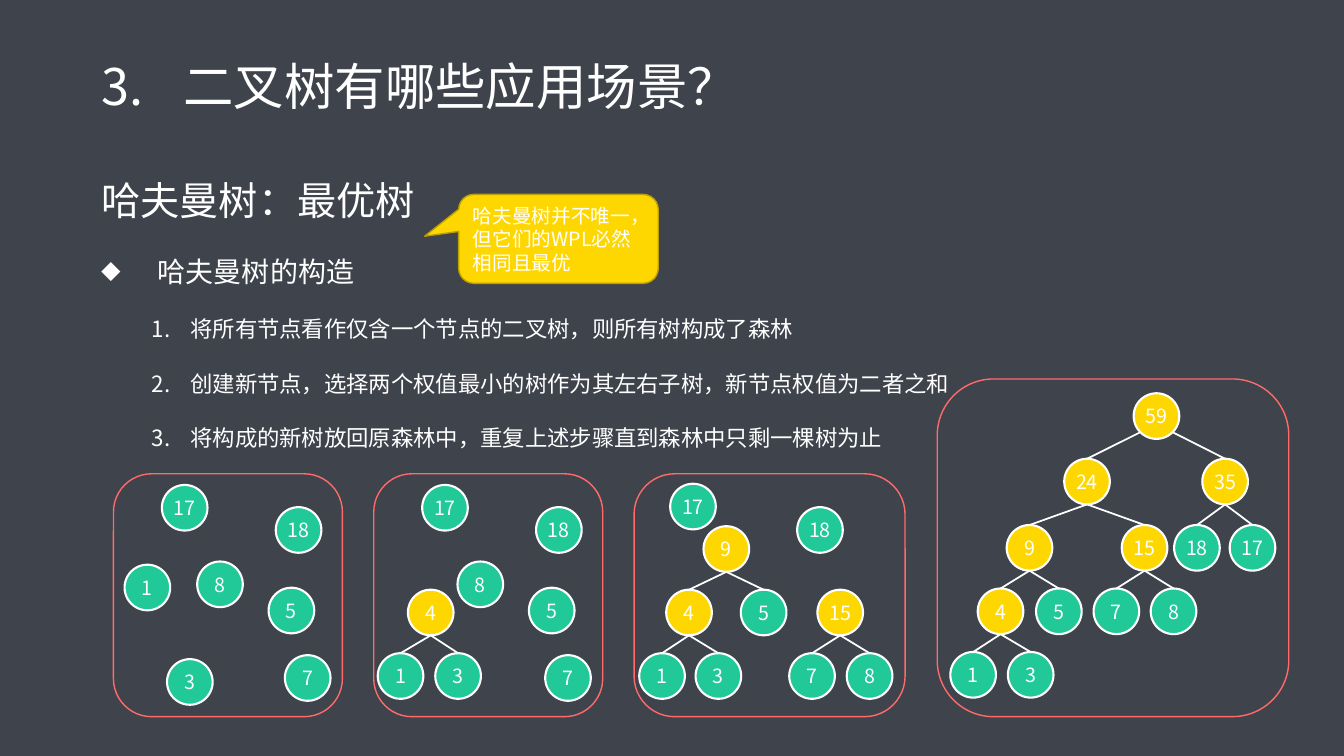
from dataclasses import dataclass
from math import sqrt

from lxml import etree
from pptx import Presentation
from pptx.dml.color import RGBColor
from pptx.enum.shapes import MSO_CONNECTOR, MSO_SHAPE
from pptx.enum.text import MSO_ANCHOR, MSO_AUTO_SIZE, PP_ALIGN
from pptx.oxml.ns import qn
from pptx.shapes.autoshape import Shape
from pptx.shapes.shapetree import GroupShapes
from pptx.slide import Slide
from pptx.text.text import _Paragraph
from pptx.util import Cm, Pt

CIRCLE = MSO_SHAPE.OVAL
ROUNDED = MSO_SHAPE.ROUNDED_RECTANGLE
CALLOUT = MSO_SHAPE.ROUNDED_RECTANGULAR_CALLOUT
STRAIGHT = MSO_CONNECTOR.STRAIGHT
MIDDLE = MSO_ANCHOR.MIDDLE
LEFT, CENTER = PP_ALIGN.LEFT, PP_ALIGN.CENTER
NO_AUTOFIT = MSO_AUTO_SIZE.NONE


@dataclass(frozen=True)
class Theme:
    font: str = "Noto Sans CJK SC"
    background: str = "3F434C"
    text: str = "FFFFFF"
    leaf: str = "20C997"
    merged: str = "FFD700"
    panel: str = "FF6B6B"
    callout_border: str = "BD9F00"
    title_size: int = 36
    heading_size: int = 28
    topic_size: int = 20
    step_size: int = 16
    label_size: int = 14


THEME = Theme()
NODE_SIZE = 1.15


@dataclass(frozen=True)
class Node:
    """A tree node; x and y are its left and top in cm inside its panel."""
    weight: int
    x: float
    y: float
    children: tuple["Node", ...] = ()
    diagonal_edges: bool = False


@dataclass(frozen=True)
class Forest:
    left: float
    top: float
    width: float
    height: float
    trees: tuple[Node, ...]


@dataclass(frozen=True)
class Line:
    text: str
    size: int
    margin: float = 0
    hanging: float = 0
    bullet: str = ""


UNTOUCHED = (Node(17, 1.22, 0.28), Node(8, 2.11, 2.21), Node(5, 3.91, 2.87),
             Node(18, 4.09, 0.84), Node(7, 4.32, 4.57))
FIRST_LEFT, FOREST_TOP, FOREST_STEP = 2.86, 11.94, 6.56
FORESTS = (
    Forest(FIRST_LEFT, FOREST_TOP, 5.77, 6.12,
           UNTOUCHED + (Node(1, 0.28, 2.29), Node(3, 1.35, 4.67))),
    Forest(FIRST_LEFT + FOREST_STEP, FOREST_TOP, 5.77, 6.12, UNTOUCHED + (
        Node(4, 0.86, 2.92, (Node(1, 0.1, 4.52), Node(3, 1.55, 4.52))),
    )),
    Forest(FIRST_LEFT + 2 * FOREST_STEP, FOREST_TOP, 6.83, 6.12, (
        Node(17, 0.91, 0.25),
        Node(18, 4.11, 0.84),
        Node(9, 1.75, 1.32, (
            Node(4, 0.81, 2.92, (Node(1, 0.13, 4.52), Node(3, 1.55, 4.52))),
            Node(5, 2.69, 2.92))),
        Node(15, 4.62, 2.92, (Node(7, 3.91, 4.52), Node(8, 5.36, 4.52))),
    )),
    Forest(23.62, 9.55, 8.86, 8.51, (
        Node(59, 4.95, 0.36, (
            Node(24, 3.2, 2.01, (
                Node(9, 1.75, 3.68, (
                    Node(4, 1.02, 5.28, (Node(1, 0.33, 6.88), Node(3, 1.78, 6.88))),
                    Node(5, 2.49, 5.28))),
                Node(15, 4.65, 3.68, (Node(7, 3.94, 5.28), Node(8, 5.38, 5.28))))),
            Node(35, 6.68, 2.01, (Node(18, 5.97, 3.68), Node(17, 7.37, 3.68))),
        ), diagonal_edges=True),
    )),
)

STEPS = ("将所有节点看作仅含一个节点的二叉树，则所有树构成了森林",
         "创建新节点，选择两个权值最小的树作为其左右子树，新节点权值为二者之和",
         "将构成的新树放回原森林中，重复上述步骤直到森林中只剩一棵树为止")
BODY = (Line("哈夫曼树：最优树", THEME.heading_size),
        Line("哈夫曼树的构造", THEME.topic_size, 1.42, 1.42, "◆"),
        *(Line(step, THEME.step_size, 2.24, 0.97, "1.") for step in STEPS))


def rgb(code: str) -> RGBColor:
    return RGBColor.from_string(code)


def format_runs(paragraph: _Paragraph, size: int) -> None:
    for run in paragraph.runs:
        run.font.size = Pt(size)
        run.font.name = THEME.font
        run.font.color.rgb = rgb(THEME.text)
        east_asian = etree.SubElement(run.font._element, qn("a:ea"))
        east_asian.set("typeface", THEME.font)


def set_bullet(paragraph: _Paragraph, line: Line, start: int = 1) -> None:
    """Give a hanging indent with either a symbol or automatic numbers."""
    properties = paragraph._p.get_or_add_pPr()
    properties.set("marL", str(Cm(line.margin)))
    properties.set("indent", str(-Cm(line.hanging)))
    if line.bullet == "1.":
        number = etree.SubElement(properties, qn("a:buAutoNum"))
        number.set("type", "arabicPeriod")
        if start > 1:
            number.set("startAt", str(start))
    elif line.bullet:
        etree.SubElement(properties, qn("a:buSzPct")).set("val", "70000")
        etree.SubElement(properties, qn("a:buFont")).set("typeface", THEME.font)
        etree.SubElement(properties, qn("a:buChar")).set("char", line.bullet)


def style_shape(shape: Shape, fill: str, border: str, width: float) -> None:
    shape.shadow.inherit = False
    if fill:
        shape.fill.solid()
        shape.fill.fore_color.rgb = rgb(fill)
    else:
        shape.fill.background()
    shape.line.color.rgb = rgb(border)
    shape.line.width = Pt(width)


def add_title(slide: Slide) -> None:
    title = slide.shapes.title
    title.left, title.top, title.width, title.height = Cm(2.31), Cm(0.74), Cm(29.21), Cm(3)
    frame = title.text_frame
    frame.text = "二叉树有哪些应用场景？"
    frame.auto_size = NO_AUTOFIT
    frame.vertical_anchor = MIDDLE
    heading = frame.paragraphs[0]
    heading.alignment = LEFT
    heading.line_spacing = 0.9
    set_bullet(heading, Line(frame.text, THEME.title_size, 2.06, 2.06, "1."), start=3)
    format_runs(heading, THEME.title_size)


def add_body(slide: Slide) -> None:
    frame = slide.shapes.add_textbox(Cm(2.31), Cm(3.73), Cm(29.21), Cm(14.27)).text_frame
    frame.word_wrap = True
    for index, line in enumerate(BODY):
        paragraph = frame.add_paragraph() if index else frame.paragraphs[0]
        paragraph.text = line.text
        paragraph.line_spacing = 1.5
        paragraph.space_before = Pt(10)
        set_bullet(paragraph, line)
        format_runs(paragraph, line.size)


def add_edge(shapes: GroupShapes, forest: Forest, parent: Node, child: Node) -> None:
    """Join the parent's lower rim to the top of the child."""
    radius = NODE_SIZE / 2
    start_x, start_y = parent.x + radius, parent.y + NODE_SIZE
    if parent.diagonal_edges:
        reach = radius / sqrt(2)
        start_x += reach if child.x > parent.x else -reach
        start_y += reach - radius
    edge = shapes.add_connector(
        STRAIGHT, Cm(forest.left + start_x), Cm(forest.top + start_y),
        Cm(forest.left + child.x + radius), Cm(forest.top + child.y))
    edge.line.color.rgb = rgb(THEME.text)
    edge.line.width = Pt(1.25)
    etree.SubElement(edge._element.spPr, qn("a:effectLst"))


def add_tree(shapes: GroupShapes, forest: Forest, node: Node) -> None:
    circle = shapes.add_shape(CIRCLE, Cm(forest.left + node.x), Cm(forest.top + node.y),
                              Cm(NODE_SIZE), Cm(NODE_SIZE))
    style_shape(circle, THEME.merged if node.children else THEME.leaf, THEME.text, 1.5)
    frame = circle.text_frame
    frame.margin_left = frame.margin_right = 0
    frame.vertical_anchor = MIDDLE
    frame.text = str(node.weight)
    frame.paragraphs[0].alignment = CENTER
    format_runs(frame.paragraphs[0], THEME.label_size)
    for child in node.children:
        add_edge(shapes, forest, node, child)
        add_tree(shapes, forest, child)


def add_forest(slide: Slide, forest: Forest) -> None:
    shapes = slide.shapes.add_group_shape().shapes
    panel = shapes.add_shape(ROUNDED, Cm(forest.left), Cm(forest.top),
                             Cm(forest.width), Cm(forest.height))
    style_shape(panel, "", THEME.panel, 1)
    for tree in forest.trees:
        add_tree(shapes, forest, tree)


def add_callout(slide: Slide) -> None:
    callout = slide.shapes.add_shape(CALLOUT, Cm(11.56), Cm(4.9), Cm(5.03), Cm(2.24))
    for index, adjustment in enumerate((-0.67, -0.03, 0.17)):
        callout.adjustments[index] = adjustment
    style_shape(callout, THEME.merged, THEME.callout_border, 1)
    frame = callout.text_frame
    frame.word_wrap = True
    frame.vertical_anchor = MIDDLE
    frame.text = "哈夫曼树并不唯一，但它们的WPL必然相同且最优"
    remark = frame.paragraphs[0]
    remark.alignment = LEFT
    remark.space_before = Pt(10)
    format_runs(remark, THEME.label_size)


def main() -> None:
    presentation = Presentation()
    presentation.slide_width, presentation.slide_height = Cm(33.87), Cm(19.05)
    slide = presentation.slides.add_slide(presentation.slide_layouts[5])
    slide.background.fill.solid()
    slide.background.fill.fore_color.rgb = rgb(THEME.background)
    add_title(slide)
    add_body(slide)
    for forest in FORESTS:
        add_forest(slide, forest)
    add_callout(slide)
    presentation.save("out.pptx")


if __name__ == "__main__":
    main()
